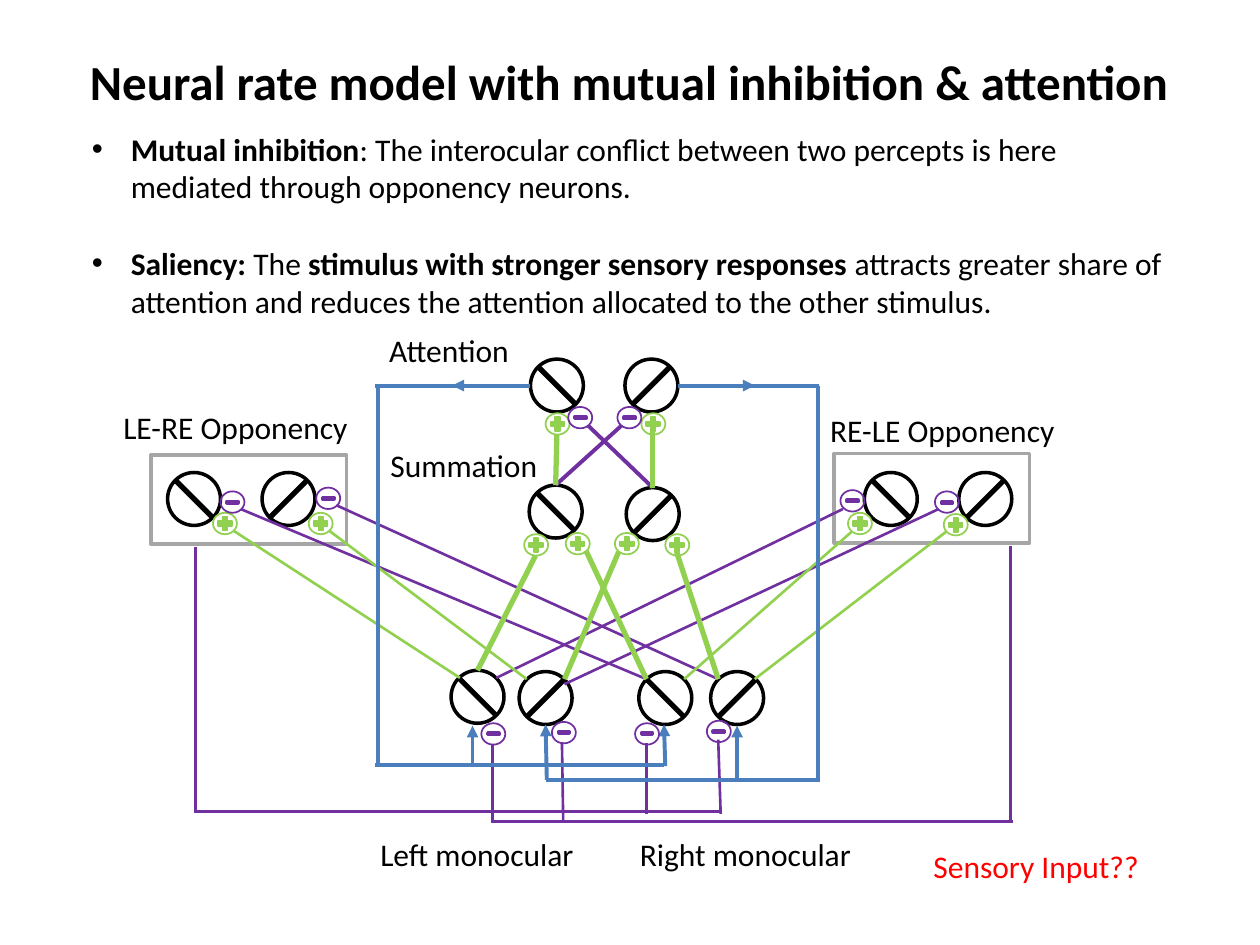
from lxml import etree
from pptx import Presentation
from pptx.dml.color import RGBColor
from pptx.enum.shapes import MSO_CONNECTOR, MSO_SHAPE as SHAPE
from pptx.enum.text import MSO_ANCHOR, PP_ALIGN
from pptx.oxml.ns import qn
from pptx.util import Inches, Pt

BLACK, WHITE, RED = "000000", "FFFFFF", "FF0000"
GREEN, PURPLE, BLUE, GREY = "92D050", "7030A0", "4B7EBC", "A6A6A6"
MINUS_FILL = "4F81BD"
NEURON = 0.42
SIGN_W, SIGN_H = 0.19, 0.17

# Neurons: left, top, slash direction
NEURONS = [
    (4.21, 2.85, "down"), (4.96, 2.85, "up"),  # attention
    (4.20, 3.85, "down"), (4.97, 3.87, "up"),  # summation
    (3.58, 5.32, "down"), (4.12, 5.33, "up"),  # left monocular
    (5.07, 5.33, "down"), (5.64, 5.33, "up"),  # right monocular
    (1.33, 3.75, "down"), (2.08, 3.75, "up"),  # LE-RE opponency
    (6.86, 3.75, "down"), (7.61, 3.75, "up"),  # RE-LE opponency
]

# Wires by kind: colour, width, arrow at the end, then (x1, y1, x2, y2)
WIRES = [
    # Monocular to opponency, and opponency inhibition back to monocular
    (PURPLE, 1.5, False, [
        (4.48, 5.43, 7.45, 4.04), (3.94, 5.38, 6.69, 4.04),
        (2.67, 4.01, 5.70, 5.39), (1.91, 4.04, 5.13, 5.39),
        (1.54, 6.44, 5.72, 6.44), (5.70, 5.87, 5.72, 6.46),
        (5.13, 5.90, 5.13, 6.46), (1.55, 4.34, 1.55, 6.45),
        (4.46, 5.89, 4.47, 6.51), (8.04, 6.52, 3.90, 6.52),
        (3.91, 5.91, 3.91, 6.51), (8.02, 4.33, 8.02, 6.51)]),
    (GREEN, 1.5, False, [
        (5.43, 5.39, 6.76, 4.22), (5.99, 5.39, 7.51, 4.22),
        (1.85, 4.21, 3.65, 5.38), (2.61, 4.21, 4.18, 5.39)]),
    # Summation to attention
    (PURPLE, 2.25, False, [
        (5.18, 3.87, 4.67, 3.38), (4.93, 3.38, 4.41, 3.85)]),
    (GREEN, 3, False, [
        (4.41, 3.85, 4.42, 3.45), (5.18, 3.87, 5.18, 3.42),
        # Monocular to summation
        (3.79, 5.32, 4.25, 4.41), (4.48, 5.39, 4.91, 4.38),
        (4.65, 4.37, 5.13, 5.39), (5.70, 5.39, 5.37, 4.38)]),
    # Attention feedback loops
    (BLUE, 2.25, False, [
        (2.98, 3.06, 4.21, 3.06), (3.00, 3.06, 3.00, 6.07),
        (2.98, 6.07, 5.27, 6.07), (5.38, 3.06, 6.50, 3.06),
        (6.49, 3.06, 6.49, 6.19), (6.51, 6.19, 4.33, 6.19)]),
    (BLUE, 2.25, True, [
        (3.75, 6.08, 3.75, 5.76), (5.28, 6.08, 5.27, 5.75),
        (5.85, 6.21, 5.85, 5.76), (4.34, 6.19, 4.33, 5.75),
        (5.38, 3.06, 5.99, 3.06), (4.20, 3.06, 3.59, 3.06)]),
]

PLUS_SIGNS = [
    (4.16, 4.24), (4.49, 4.23), (4.88, 4.23), (5.28, 4.24), (4.33, 3.28),
    (5.09, 3.28), (1.69, 4.07), (2.45, 4.07), (6.73, 4.07), (7.49, 4.08)]
MINUS_SIGNS = [
    (1.75, 3.90), (2.51, 3.87), (6.67, 3.89), (7.42, 3.90), (5.04, 5.74),
    (5.61, 5.72), (4.38, 5.73), (3.82, 5.74), (4.51, 3.23), (4.90, 3.23)]

OPPONENCY_BOXES = [(1.20, 3.61), (6.62, 3.60)]

LABELS = [
    ("RE-LE Opponency", 6.49, 3.21, 2.01, BLACK),
    ("LE-RE Opponency", 0.88, 3.19, 2.01, BLACK),
    ("Attention", 2.99, 2.58, 1.17, BLACK),
    ("Summation", 3.00, 3.49, 1.38, BLACK),
    ("Left monocular", 2.92, 6.58, 1.76, BLACK),
    ("Right monocular", 4.98, 6.58, 1.90, BLACK),
    ("Sensory Input??", 7.31, 6.67, 1.85, RED),
]

# Bullets as (text, bold) runs
BULLETS = [
    [("Mutual inhibition", True),
     (": The interocular conflict between two percepts is here "
      "mediated through opponency neurons.", False)],
    [("Saliency:", True), (" The ", False),
     ("stimulus with stronger sensory responses ", True),
     ("attracts greater share of attention and reduces the attention "
      "allocated to the other stimulus.", False)],
]


def rgb(value):
    return RGBColor.from_string(value)


def style_run(r, size, color=BLACK, bold=False):
    r.font.name = "Calibri"
    r.font.size = Pt(size)
    r.font.bold = bold
    r.font.color.rgb = rgb(color)


def add_shape(s, kind, x, y, w, h, line, width, fill=None):
    sp = s.shapes.add_shape(kind, Inches(x), Inches(y), Inches(w), Inches(h))
    sp.shadow.inherit = False
    if fill:
        sp.fill.solid()
        sp.fill.fore_color.rgb = rgb(fill)
    else:
        sp.fill.background()
    sp.line.color.rgb = rgb(line)
    sp.line.width = Pt(width)


def add_line(s, x1, y1, x2, y2, color, width, arrow=False):
    cx = s.shapes.add_connector(MSO_CONNECTOR.STRAIGHT, Inches(x1), Inches(y1),
                                Inches(x2), Inches(y2))
    cx.line.color.rgb = rgb(color)
    cx.line.width = Pt(width)
    if arrow:
        etree.SubElement(cx.line._get_or_add_ln(), qn("a:tailEnd"), type="triangle")
    etree.SubElement(cx._element.spPr, qn("a:effectLst"))


def add_neuron(s, x, y, slash):
    add_shape(s, SHAPE.OVAL, x, y, NEURON, NEURON, BLACK, 2, WHITE)
    near, far = 0.06, 0.36
    y1, y2 = (near, far) if slash == "down" else (far, near)
    add_line(s, x + near, y + y1, x + far, y + y2, BLACK, 3)


def add_sign(s, kind, x, y, w, h, color, width, fill):
    """A circled sign, centred in its ring."""
    add_shape(s, SHAPE.OVAL, x, y, SIGN_W, SIGN_H, color, 1)
    add_shape(s, kind, x + (SIGN_W - w) / 2, y + (SIGN_H - h) / 2, w, h,
              color, width, fill)


def add_text_box(s, x, y, w, h, wrap):
    tf = s.shapes.add_textbox(Inches(x), Inches(y), Inches(w), Inches(h)).text_frame
    tf.word_wrap = wrap
    return tf


def add_label(s, text, x, y, w, color):
    tf = add_text_box(s, x, y, w, 0.4, False)
    tf.text = text
    style_run(tf.paragraphs[0].runs[0], 18, color)


def add_bullets(s, bullets):
    tf = add_text_box(s, 0.63, 0.98, 8.82, 1.62, True)
    for i, parts in enumerate(bullets):
        p = tf.add_paragraph() if i else tf.paragraphs[0]
        p.space_before = Pt(22 if i else 0)
        pPr = p._p.get_or_add_pPr()
        pPr.set("marL", str(Inches(0.31)))
        pPr.set("indent", str(-Inches(0.31)))
        etree.SubElement(pPr, qn("a:buFont"), typeface="Arial")
        etree.SubElement(pPr, qn("a:buChar"), char="•")
        for text, bold in parts:
            r = p.add_run()
            r.text = text
            style_run(r, 18, bold=bold)


def set_title(s, text):
    sp = s.shapes.title
    sp.left, sp.top, sp.width, sp.height = map(Inches, (0.49, 0.33, 9, 0.62))
    tf = sp.text_frame
    tf.text = text
    tf.vertical_anchor = MSO_ANCHOR.MIDDLE
    p = tf.paragraphs[0]
    p.alignment = PP_ALIGN.CENTER
    style_run(p.runs[0], 28, bold=True)


def main():
    prs = Presentation()
    prs.slide_width, prs.slide_height = Inches(10), Inches(7.5)
    s = prs.slides.add_slide(prs.slide_layouts[5])
    set_title(s, "Neural rate model with mutual inhibition & attention")

    # Network: neurons, wires, then the synapse signs on top
    for neuron in NEURONS:
        add_neuron(s, *neuron)
    for x, y in OPPONENCY_BOXES:
        add_shape(s, SHAPE.RECTANGLE, x, y, 1.55, 0.71, GREY, 2)
    for color, width, arrow, ends in WIRES:
        for end in ends:
            add_line(s, *end, color, width, arrow)
    for x, y in PLUS_SIGNS:
        add_sign(s, SHAPE.MATH_PLUS, x, y, 0.15, 0.15, GREEN, 1, GREEN)
    for x, y in MINUS_SIGNS:
        add_sign(s, SHAPE.MATH_MINUS, x, y, 0.12, 0.05, PURPLE, 2, MINUS_FILL)

    # Wording
    for label in LABELS:
        add_label(s, *label)
    add_bullets(s, BULLETS)
    prs.save("out.pptx")


if __name__ == "__main__":
    main()
